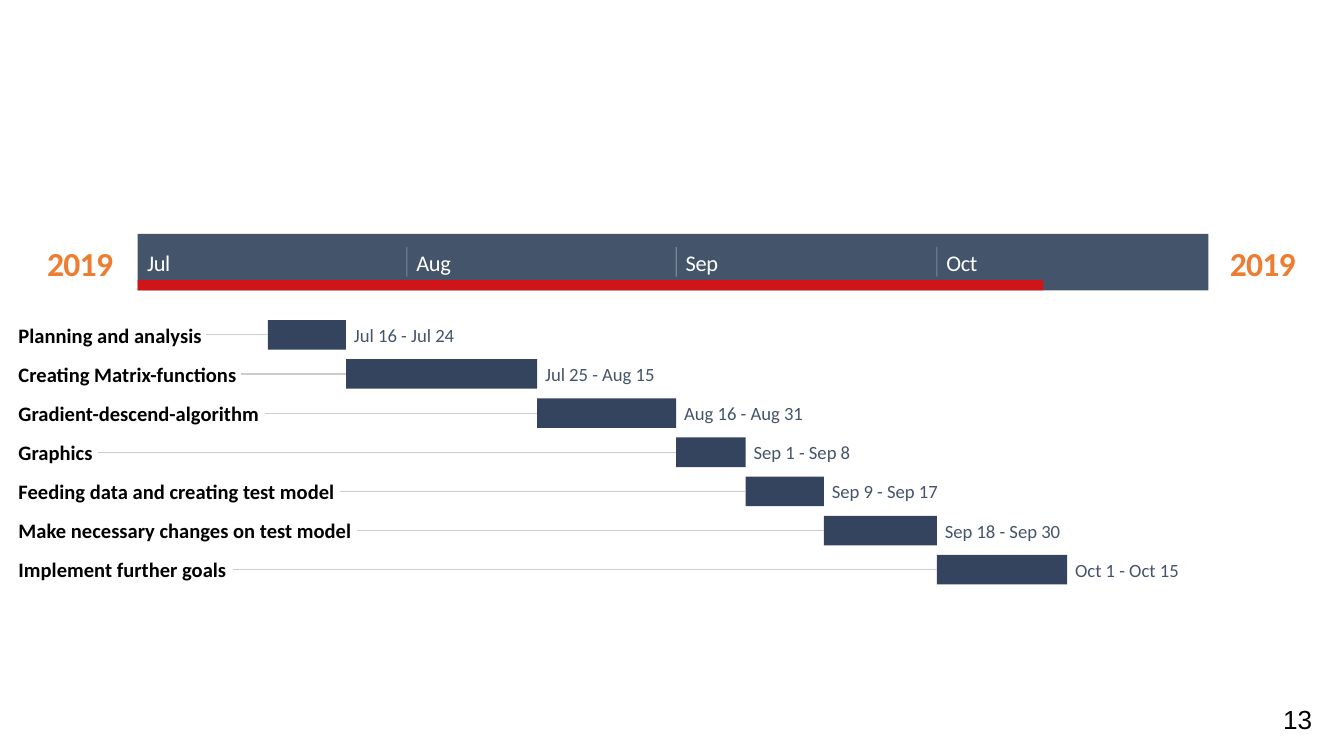
from lxml.etree import SubElement
from pptx import Presentation
from pptx.dml.color import RGBColor
from pptx.enum.shapes import MSO_CONNECTOR, MSO_SHAPE
from pptx.enum.text import MSO_ANCHOR, PP_ALIGN
from pptx.oxml.ns import qn
from pptx.util import Cm, Pt

# Content: month and its first day, counted from July 1
MONTHS = [("Jul", 0), ("Aug", 31), ("Sep", 62), ("Oct", 92)]
# Task, label width, first day, end day, dates, dates width
TASKS = [
    ("Planning and analysis", 3.55, 15, 24, "Jul 16 - Jul 24", 2),
    ("Creating Matrix-functions", 4.21, 24, 46, "Jul 25 - Aug 15", 2.18),
    ("Gradient-descend-algorithm", 4.65, 46, 62, "Aug 16 - Aug 31", 2.36),
    ("Graphics", 1.51, 62, 70, "Sep 1 - Sep 8", 1.93),
    ("Feeding data and creating test model", 6.07, 70, 79, "Sep 9 - Sep 17", 2.11),
    ("Make necessary changes on test model", 6.4, 79, 92, "Sep 18 - Sep 30", 2.34),
    ("Implement further goals", 4.05, 92, 107, "Oct 1 - Oct 15", 2.08),
]
YEAR = "2019"
PAGE_NUMBER = "13"

# Layout in centimetres
BAND_LEFT, BAND_TOP, BAND_WIDTH, BAND_HEIGHT = 2.6, 4.42, 20.24, 1.07
PROGRESS_WIDTH, PROGRESS_HEIGHT = 17.12, 0.2
DAY = 5.09 / 31
MONTH_WIDTH, LABEL_LEFT = 0.8, 0.35
FIRST_BAR, ROW_STEP, BAR_HEIGHT = 6.05, 0.74, 0.56
SLATE, NAVY, ORANGE = "44546A", "34435E", "ED7D31"

deck = Presentation()
deck.slide_width, deck.slide_height = Cm(25.4), Cm(14.29)
page = deck.slides.add_slide(deck.slide_layouts[6])


def day_x(day):
    return BAND_LEFT + day * DAY


def paint(color_format, color):
    color_format.rgb = RGBColor.from_string(color)


def set_opacity(shape, opacity):
    for color in shape._element.spPr.iter(qn("a:srgbClr")):
        SubElement(color, qn("a:alpha")).set("val", str(opacity * 1000))


def add_bar(left, top, width, height, color):
    bar = page.shapes.add_shape(
        MSO_SHAPE.RECTANGLE, Cm(left), Cm(top), Cm(width), Cm(height))
    bar.shadow.inherit = False
    bar.fill.solid()
    paint(bar.fill.fore_color, color)
    bar.line.fill.background()
    return bar


def add_line(start, end, color):
    line = page.shapes.add_connector(MSO_CONNECTOR.STRAIGHT, *map(Cm, start + end))
    paint(line.line.color, color)
    line.line.width = Pt(0.6)
    SubElement(line._element.spPr, qn("a:effectLst"))
    return line


def add_text(text, left, top, width, height, *, size, color, font="Calibri",
             bold=False, spacing=0, align=PP_ALIGN.LEFT, inset=(0, 0)):
    box = page.shapes.add_textbox(Cm(left), Cm(top), Cm(width), Cm(height))
    frame = box.text_frame
    frame.word_wrap = False
    frame.vertical_anchor = MSO_ANCHOR.MIDDLE
    frame.margin_left = frame.margin_right = Cm(inset[0])
    frame.margin_top = frame.margin_bottom = Cm(inset[1])
    para = frame.paragraphs[0]
    para.alignment = align
    span = para.add_run()
    span.text = text
    span.font.name, span.font.size, span.font.bold = font, Pt(size), bold
    paint(span.font.color, color)
    if spacing:
        span._r.get_or_add_rPr().set("spc", str(round(spacing * 100)))
    return box


# Years on both sides of the band
for year_left in (0.84, 23.19):
    add_text(YEAR, year_left, 4.57, 1.35, 0.79, size=18, color=ORANGE,
             bold=True, spacing=-0.4, align=PP_ALIGN.CENTER)

# Month band with progress strip
add_bar(BAND_LEFT, BAND_TOP, BAND_WIDTH, BAND_HEIGHT, SLATE)
progress = add_bar(BAND_LEFT, BAND_TOP + BAND_HEIGHT - PROGRESS_HEIGHT,
                   PROGRESS_WIDTH, PROGRESS_HEIGHT, "FF0000")
set_opacity(progress, 75)
for month, first_day in MONTHS:
    x = day_x(first_day)
    add_text(month, x + 0.18, 4.7, MONTH_WIDTH, 0.51, size=12, color="FFFFFF",
             spacing=-0.2)
    if first_day:
        tick = add_line((x, 4.67), (x, 5.23), "FFFFFF")
        set_opacity(tick, 30)

# Task rows: label, bar, leader line, dates
for row, (task, label_width, start, end, dates, dates_width) in enumerate(TASKS):
    top = FIRST_BAR + row * ROW_STEP
    middle = top + BAR_HEIGHT / 2
    label = add_text(task, LABEL_LEFT, top, label_width, BAR_HEIGHT,
                     size=11, color="000000", bold=True)
    bar = add_bar(day_x(start), top, (end - start) * DAY, BAR_HEIGHT, NAVY)
    leader = add_line((LABEL_LEFT + label_width, middle), (day_x(start), middle), "CCCCCC")
    leader.begin_connect(label, 3)
    leader.end_connect(bar, 1)
    add_text(dates, day_x(end) + 0.15, top, dates_width, BAR_HEIGHT,
             size=10, color=SLATE)

# Page number
add_text(PAGE_NUMBER, 24, 13.16, 1.14, 0.86, size=14, color="000000",
         font="Arial", inset=(0.25, 0.13))

deck.save("out.pptx")
